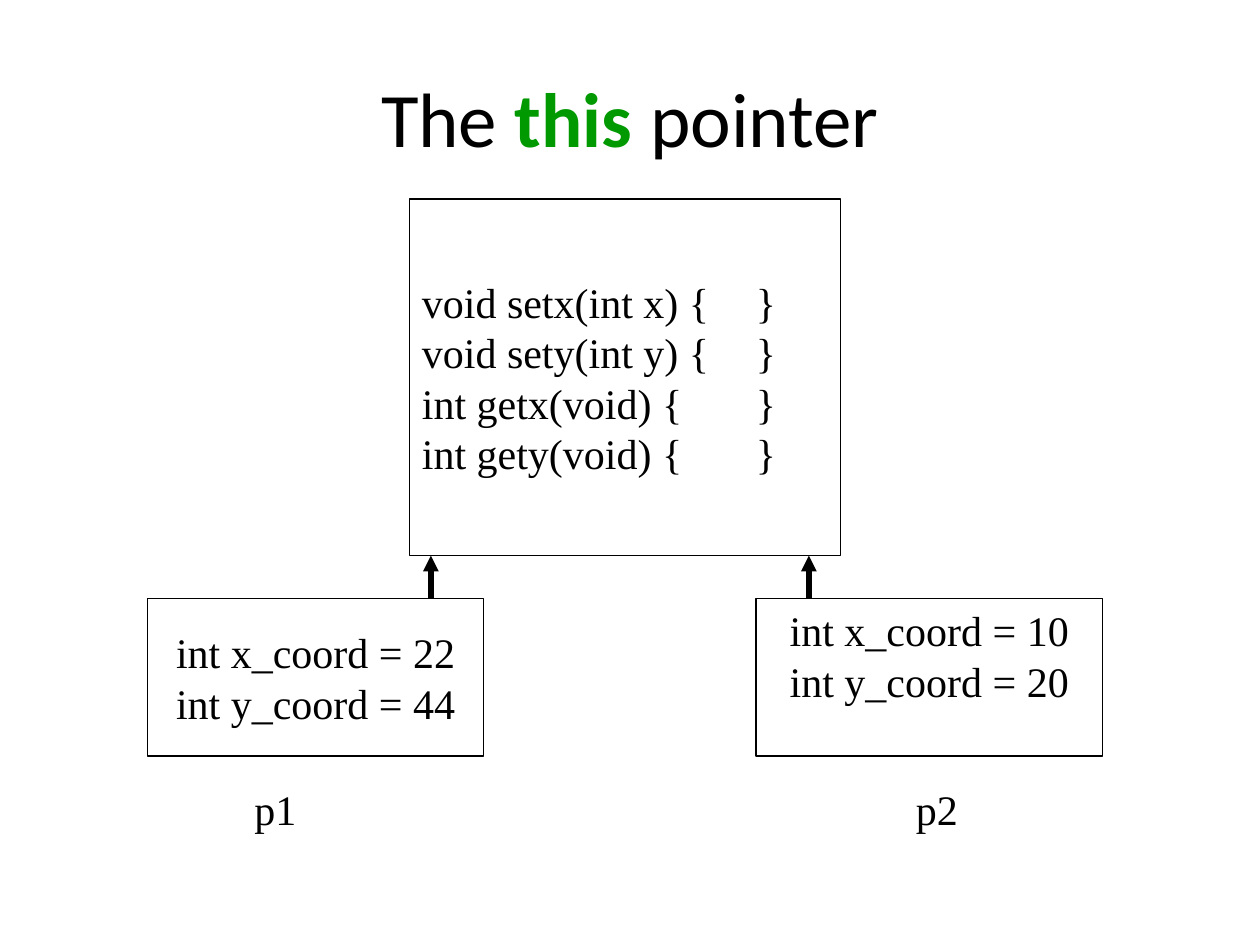
from lxml.etree import SubElement
from pptx import Presentation
from pptx.dml.color import RGBColor
from pptx.enum.shapes import MSO_CONNECTOR, MSO_SHAPE
from pptx.enum.text import MSO_ANCHOR, PP_ALIGN
from pptx.oxml.ns import qn
from pptx.util import Inches, Pt

BLACK, GREEN = "000000", "009900"
TITLE = [("The ", BLACK, False), ("this", GREEN, True), (" pointer", BLACK, False)]
METHODS = ["void setx(int x) {\t}", "void sety(int y) {\t}",
           "int getx(void) {\t}", "int gety(void) {\t}"]
CLASS_BOX = (3.25, 1.58, 3.42, 2.83)
BRACE_TAB = 2.65
OBJECT_TOP, OBJECT_HEIGHT = 4.75, 1.25
OBJECTS = [
    dict(name="p1", left=1.17, width=2.67, label_left=1.92, arrow_x=3.42,
         fields=["int x_coord = 22", "int y_coord = 44"], anchor=MSO_ANCHOR.MIDDLE),
    dict(name="p2", left=6, width=2.75, label_left=7.17, arrow_x=6.42,
         fields=["int x_coord = 10", "int y_coord = 20"], anchor=MSO_ANCHOR.TOP),
]


def color(value):
    return RGBColor.from_string(value)


def write(sp, lines, align, anchor):
    tf = sp.text_frame
    tf.word_wrap = True
    tf.vertical_anchor = anchor
    tf.text = "\n".join(lines)
    for p in tf.paragraphs:
        p.alignment = align
        p.font.name = "Times New Roman"
        p.font.size = Pt(24)
        p.font.color.rgb = color(BLACK)


def add_box(s, box, lines, align, anchor=MSO_ANCHOR.MIDDLE):
    sp = s.shapes.add_shape(MSO_SHAPE.RECTANGLE, *map(Inches, box))
    sp.shadow.inherit = False
    sp.fill.background()
    sp.line.color.rgb = color(BLACK)
    sp.line.width = Pt(0.75)
    write(sp, lines, align, anchor)
    return sp


def add_arrow(s, x, start, end):
    line = s.shapes.add_connector(MSO_CONNECTOR.STRAIGHT, *map(Inches, (x, start, x, end)))
    line.line.color.rgb = color(BLACK)
    line.line.width = Pt(3)
    SubElement(line.line._get_or_add_ln(), qn("a:tailEnd"), type="triangle")
    SubElement(line._element.spPr, qn("a:effectLst"))


def add_title(s):
    title = s.shapes.title
    title.left, title.top, title.width, title.height = map(Inches, (0.5, 0.3, 9, 1.25))
    title.text_frame.vertical_anchor = MSO_ANCHOR.MIDDLE
    p = title.text_frame.paragraphs[0]
    p.alignment = PP_ALIGN.CENTER
    p.font.name = "Calibri"
    p.font.size = Pt(44)
    for text, tint, bold in TITLE:
        r = p.add_run()
        r.text = text
        r.font.color.rgb = color(tint)
        r.font.bold = bold


def main():
    prs = Presentation()
    prs.slide_width, prs.slide_height = Inches(10), Inches(7.5)
    s = prs.slides.add_slide(prs.slide_layouts[5])
    add_title(s)

    class_box = add_box(s, CLASS_BOX, METHODS, PP_ALIGN.LEFT)
    for p in class_box.text_frame.paragraphs:
        tabs = SubElement(p._p.get_or_add_pPr(), qn("a:tabLst"))
        SubElement(tabs, qn("a:tab"), pos=str(Inches(BRACE_TAB)), algn="l")
        p._p.pPr.insert(0, tabs)

    class_bottom = CLASS_BOX[1] + CLASS_BOX[3]
    for obj in OBJECTS:
        box = (obj["left"], OBJECT_TOP, obj["width"], OBJECT_HEIGHT)
        add_box(s, box, obj["fields"], PP_ALIGN.CENTER, obj["anchor"])
        label = s.shapes.add_textbox(*map(Inches, (obj["label_left"], 6.17, 1.08, 0.5)))
        write(label, [obj["name"]], PP_ALIGN.LEFT, MSO_ANCHOR.TOP)
        add_arrow(s, obj["arrow_x"], OBJECT_TOP, class_bottom)

    prs.save("out.pptx")


if __name__ == "__main__":
    main()
